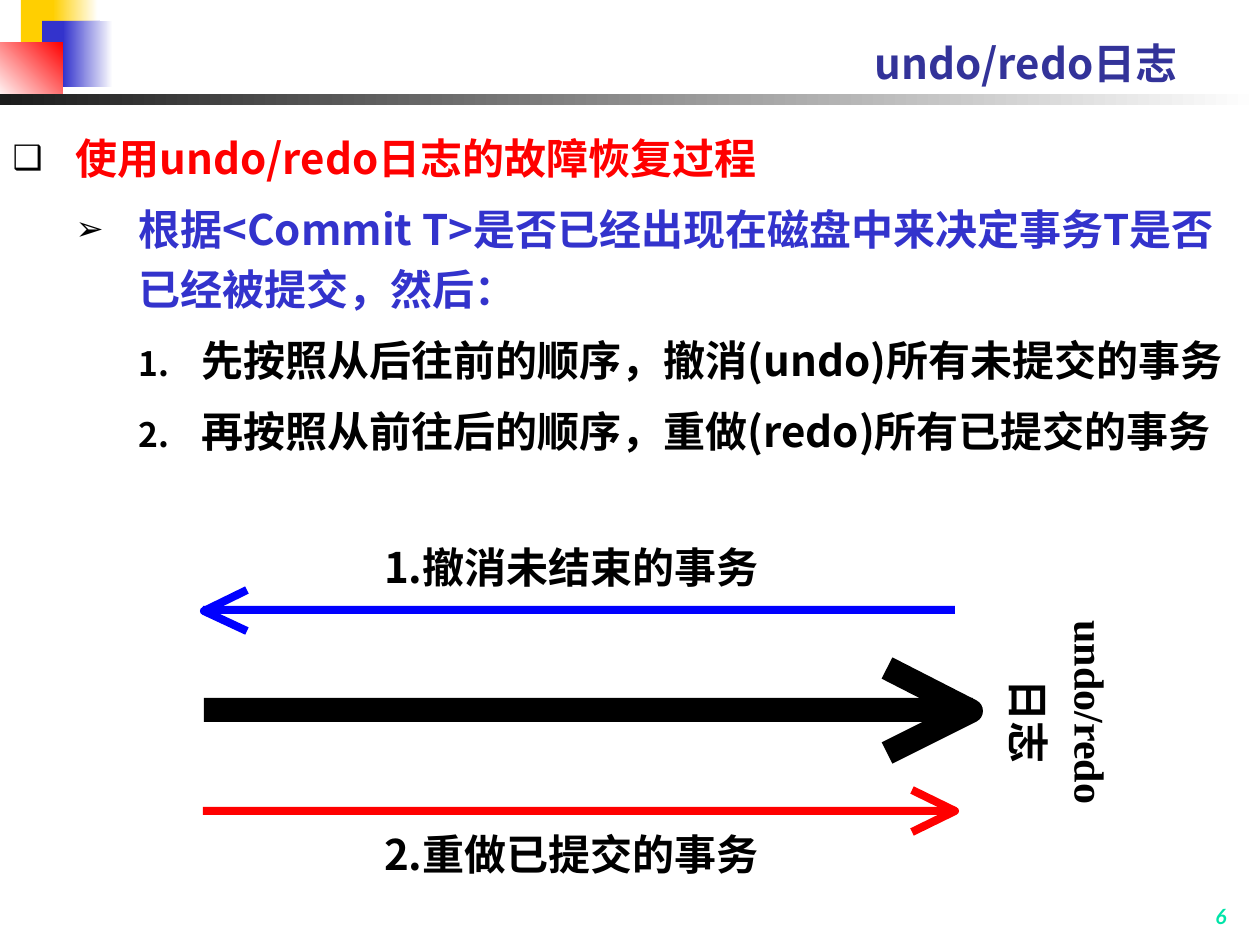
from lxml.etree import SubElement
from pptx import Presentation
from pptx.dml.color import RGBColor
from pptx.enum.shapes import MSO_SHAPE
from pptx.enum.text import MSO_ANCHOR, MSO_AUTO_SIZE, PP_ALIGN
from pptx.oxml.ns import qn
from pptx.util import Emu, Pt

SCALE = 914400 / 126
CJK = "Noto Sans CJK SC"


def px(n):
    """Turn whole pixels into EMU."""
    return Emu(round(n * SCALE))


def rgb(value):
    """Turn a hex string into a colour."""
    return RGBColor.from_string(value)


def place(sp, box):
    """Move and size a shape."""
    sp.left, sp.top, sp.width, sp.height = map(px, box)


def add_run(p, text, color, size=24, font=CJK, italic=False):
    """Add one bold run to a paragraph."""
    r = p.add_run()
    r.text = text
    r.font.size, r.font.name = Pt(size), font
    r.font.bold, r.font.italic = True, italic
    r.font.color.rgb = rgb(color)
    SubElement(r.font._element, qn("a:ea")).set("typeface", font)


def add_rect(shapes, box, color, fade=None, angle=180):
    """Add a borderless rectangle, plain or fading between two colours."""
    sp = shapes.add_shape(MSO_SHAPE.RECTANGLE, *map(px, box))
    sp.shadow.inherit = False
    sp.line.fill.background()
    if fade:
        sp.fill.gradient()
        sp.fill.gradient_angle = angle
        for stop, value in zip(sp.fill.gradient_stops, (color, fade)):
            stop.color.rgb = rgb(value)
    else:
        sp.fill.solid()
        sp.fill.fore_color.rgb = rgb(color)


def add_label(shapes, box, text, font=CJK, rotation=0):
    """Add a black label without insets."""
    sp = shapes.add_textbox(*map(px, box))
    sp.rotation = rotation
    tf = sp.text_frame
    tf.margin_left = tf.margin_right = tf.margin_top = tf.margin_bottom = 0
    tf.word_wrap = True
    add_run(tf.paragraphs[0], text, "000000", font=font)


def add_arrow(s, shaft, head, color, width):
    """Add a grouped arrow with a bar and an open head, and return its shapes."""
    shapes = s.shapes.add_group_shape().shapes
    add_rect(shapes, shaft, color)
    start, *rest = head
    builder = shapes.build_freeform(*start, scale=SCALE)
    builder.add_line_segments(rest, close=False)
    sp = builder.convert_to_shape()
    sp.shadow.inherit = False
    sp.fill.background()
    sp.line.color.rgb = rgb(color)
    sp.line.width = Pt(width)
    SubElement(sp.line._get_or_add_ln(), qn("a:round"))
    return shapes


def add_item(p, level, bullet, text, color):
    """Fill a list paragraph with a hanging bullet, or a number if none is given."""
    p.level = level
    pPr = p._p.get_or_add_pPr()
    pPr.set("marL", str(px(63 * (level + 1))))
    pPr.set("indent", str(px(-63)))
    SubElement(SubElement(pPr, qn("a:buClr")), qn("a:srgbClr")).set("val", "000000")
    SubElement(pPr, qn("a:buSzPct")).set("val", "80000")
    if bullet:
        SubElement(pPr, qn("a:buChar")).set("char", bullet)
    else:
        SubElement(pPr, qn("a:buAutoNum")).set("type", "arabicPeriod")
    p.line_spacing = 1.2
    p.space_before = Pt(6 if level else 0)
    add_run(p, text, color)


def add_decoration(s):
    """Draw the corner squares and the fading rule."""
    add_rect(s.shapes, (21, 0, 61, 66), "FFCF01")
    add_rect(s.shapes, (53, 0, 45, 66), "FFFFFF", "FFCF01")
    add_rect(s.shapes, (42, 21, 58, 66), "3333CC")
    add_rect(s.shapes, (63, 21, 50, 66), "FFFFFF", "3333CC")
    add_rect(s.shapes, (0, 42, 63, 58), "FF0000", "FFFFFF", 225)
    add_rect(s.shapes, (0, 94, 1260, 11), "FFFFFF", "1C1C1C")


def fill_title(title):
    """Write the slide title."""
    place(title, (116, 21, 1074, 73))
    tf = title.text_frame
    tf.vertical_anchor = MSO_ANCHOR.BOTTOM
    tf.auto_size = MSO_AUTO_SIZE.NONE
    p = tf.paragraphs[0]
    p.alignment = PP_ALIGN.RIGHT
    add_run(p, "undo/redo日志", "333399")


def fill_body(body):
    """Write the recovery steps."""
    place(body, (0, 116, 1260, 357))
    body.fill.solid()
    body.fill.fore_color.rgb = rgb("FFFFFF")
    tf = body.text_frame
    tf.auto_size = MSO_AUTO_SIZE.NONE
    items = [
        (0, "❑", "使用undo/redo日志的故障恢复过程", "FF0000"),
        (1, "➢", "根据<Commit T>是否已经出现在磁盘中来决定事务T是否已经被提交，然后：", "3333CC"),
        (2, None, "先按照从后往前的顺序，撤消(undo)所有未提交的事务", "000000"),
        (2, None, "再按照从前往后的顺序，重做(redo)所有已提交的事务", "000000"),
    ]
    for i, item in enumerate(items):
        add_item(tf.add_paragraph() if i else tf.paragraphs[0], *item)


def add_diagram(s):
    """Draw the log arrow with the undo and redo passes."""
    log = add_arrow(s, (204, 698, 769, 24), [(887, 753), (971, 711), (887, 668)], "000000", 13.63)
    add_label(log, (993, 694, 197, 50), "undo/redo", "Times New Roman", 90)
    add_label(log, (985, 699, 88, 50), "日志", rotation=90)
    redo = add_arrow(s, (203, 807, 752, 8), [(912, 832), (955, 811), (912, 790)], "FF0000", 4.62)
    add_label(redo, (384, 829, 400, 50), "2.重做已提交的事务")
    undo = add_arrow(s, (203, 606, 752, 8), [(247, 590), (204, 611), (247, 631)], "0000FF", 4.62)
    add_label(undo, (384, 542, 400, 50), "1.撤消未结束的事务")


def add_page_number(s):
    """Write the page number."""
    tf = s.shapes.add_textbox(*map(px, (977, 903, 262, 32))).text_frame
    tf.word_wrap = True
    tf.vertical_anchor = MSO_ANCHOR.BOTTOM
    p = tf.paragraphs[0]
    p.alignment = PP_ALIGN.RIGHT
    add_run(p, "6", "00E4A8", 12, "Lato", True)


def main():
    """Build and save the slide."""
    prs = Presentation()
    prs.slide_width, prs.slide_height = px(1260), px(945)
    s = prs.slides.add_slide(prs.slide_layouts[1])
    add_decoration(s)
    fill_title(s.shapes.title)
    add_diagram(s)
    fill_body(s.placeholders[1])
    add_page_number(s)
    prs.save("out.pptx")


if __name__ == "__main__":
    main()
